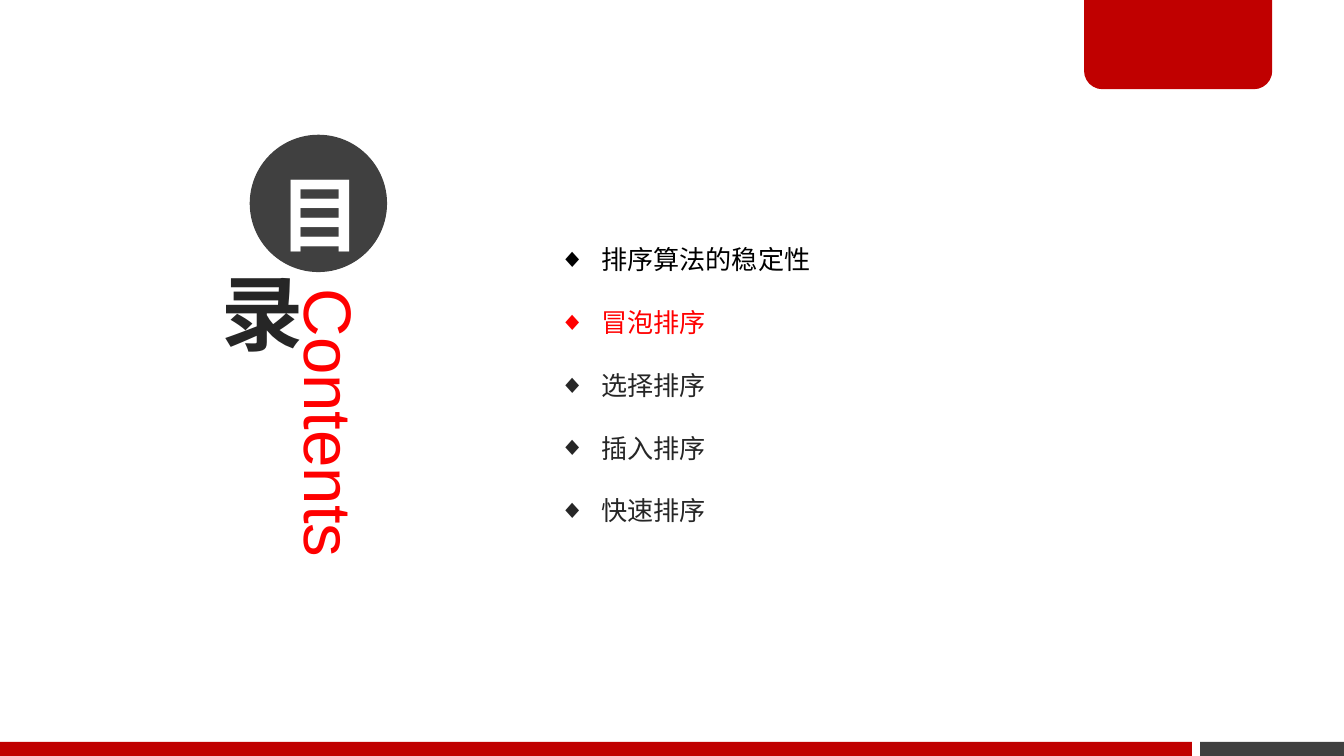
from dataclasses import dataclass

from lxml.etree import SubElement
from pptx import Presentation
from pptx.dml.color import RGBColor
from pptx.enum.shapes import MSO_SHAPE
from pptx.enum.text import MSO_ANCHOR, MSO_AUTO_SIZE, PP_ALIGN
from pptx.oxml.ns import qn
from pptx.util import Pt


@dataclass(frozen=True)
class Theme:
    red: str = "C00000"
    highlight: str = "FF0000"
    gray: str = "404040"
    dark: str = "262626"
    black: str = "000000"
    white: str = "FFFFFF"
    font: str = "Arial"
    list_size: int = 14
    heading_size: int = 36
    character_size: int = 44


THEME = Theme()
SLIDE_WIDTH, SLIDE_HEIGHT = 720, 405
BAR_HEIGHT = 7.5
TOPICS = [
    ("排序算法的稳定性", THEME.black),
    ("冒泡排序", THEME.highlight),
    ("选择排序", THEME.dark),
    ("插入排序", THEME.dark),
    ("快速排序", THEME.dark),
]


def set_attributes(target, values):
    for name, value in values.items():
        setattr(target, name, value)


def place(shape, left, top, width, height):
    set_attributes(shape, {"left": Pt(left), "top": Pt(top),
                           "width": Pt(width), "height": Pt(height)})


def format_font(font, size, color, bold=False):
    set_attributes(font, {"name": THEME.font, "size": Pt(size), "bold": bold})
    font.color.rgb = RGBColor.from_string(color)


def add_block(slide, kind, box, fill=None):
    """Add a borderless preset shape, unfilled when no fill is given."""
    shape = slide.shapes.add_shape(kind, *map(Pt, box))
    shape.shadow.inherit = False
    shape.line.fill.background()
    if fill:
        shape.fill.solid()
        shape.fill.fore_color.rgb = RGBColor.from_string(fill)
    else:
        shape.fill.background()
    return shape


def add_character(slide, text, box, color, fill=None, bottom=3.6, spacing=None):
    """Add a circle holding one large bold character."""
    circle = add_block(slide, MSO_SHAPE.OVAL, box, fill)
    frame = circle.text_frame
    set_attributes(frame, {"margin_left": Pt(5.4), "margin_right": Pt(5.4),
                           "margin_top": Pt(3.6), "margin_bottom": Pt(bottom),
                           "vertical_anchor": MSO_ANCHOR.MIDDLE, "word_wrap": True})
    paragraph = frame.paragraphs[0]
    set_attributes(paragraph, {"alignment": PP_ALIGN.CENTER, "line_spacing": spacing})
    run = paragraph.add_run()
    run.text = text
    format_font(run.font, THEME.character_size, color, bold=True)
    return run


def outline_run(run, color, width):
    properties = run.font._element if hasattr(run.font, "_element") else run._r.get_or_add_rPr()
    line = SubElement(properties, qn("a:ln"), w=str(Pt(width)))
    fill = SubElement(line, qn("a:solidFill"))
    SubElement(fill, qn("a:srgbClr"), val=color)
    properties.insert(0, line)


def fill_vertical_title(title, text, box):
    place(title, *box)
    frame = title.text_frame
    frame.text = text
    set_attributes(frame, {"margin_left": Pt(5.4), "margin_right": Pt(5.4),
                           "margin_top": Pt(3.6), "margin_bottom": Pt(3.6),
                           "vertical_anchor": MSO_ANCHOR.TOP, "word_wrap": True,
                           "auto_size": MSO_AUTO_SIZE.NONE})
    title.element.find(qn("p:txBody")).find(qn("a:bodyPr")).set("vert", "eaVert")
    paragraph = frame.paragraphs[0]
    paragraph.alignment = PP_ALIGN.LEFT
    format_font(paragraph.runs[0].font, THEME.heading_size, THEME.highlight)


def add_bullet(paragraph, character, indent):
    properties = paragraph._p.get_or_add_pPr()
    properties.set("marL", str(Pt(indent)))
    properties.set("indent", str(-Pt(indent)))
    SubElement(properties, qn("a:buFont"), typeface=THEME.font)
    SubElement(properties, qn("a:buChar"), char=character)


def fill_topics(body, topics, box):
    place(body, *box)
    frame = body.text_frame
    set_attributes(frame, {"word_wrap": True, "auto_size": MSO_AUTO_SIZE.NONE,
                           "vertical_anchor": MSO_ANCHOR.TOP})
    for index, (text, color) in enumerate(topics):
        paragraph = frame.add_paragraph() if index else frame.paragraphs[0]
        add_bullet(paragraph, "◆", 22.5)
        set_attributes(paragraph, {"line_spacing": 2.0, "space_before": Pt(0)})
        run = paragraph.add_run()
        run.text = text
        format_font(run.font, THEME.list_size, color)


def add_decoration(slide):
    bar_top = SLIDE_HEIGHT - BAR_HEIGHT
    red_width, gray_left = 638.6, 643
    add_block(slide, MSO_SHAPE.RECTANGLE,
              (gray_left, bar_top, SLIDE_WIDTH - gray_left, BAR_HEIGHT), THEME.gray)
    add_block(slide, MSO_SHAPE.RECTANGLE, (0, bar_top, red_width, BAR_HEIGHT), THEME.red)
    tab = add_block(slide, MSO_SHAPE.ROUND_2_SAME_RECTANGLE,
                    (580.8, -1.5, 100.8, 49.3), THEME.red)
    tab.adjustments[0], tab.adjustments[1] = 0, 0.2


def main():
    presentation = Presentation()
    set_attributes(presentation, {"slide_width": Pt(SLIDE_WIDTH),
                                  "slide_height": Pt(SLIDE_HEIGHT)})
    slide = presentation.slides.add_slide(presentation.slide_layouts[1])

    # Bottom bars and corner tab
    add_decoration(slide)

    # Contents heading
    fill_vertical_title(slide.shapes.title, "Contents", (154, 151, 50.4, 208))
    add_character(slide, "目", (133.8, 72.2, 73.6, 73.6), THEME.white,
                  fill=THEME.gray, bottom=10.8, spacing=Pt(70))
    second_character = add_character(slide, "录", (105, 138.2, 57.6, 57.6), THEME.dark)
    outline_run(second_character, THEME.white, 0.25)

    # Topic list
    fill_topics(slide.placeholders[1], TOPICS, (292.3, 110.2, 339.8, 172))

    presentation.save("out.pptx")


if __name__ == "__main__":
    main()
